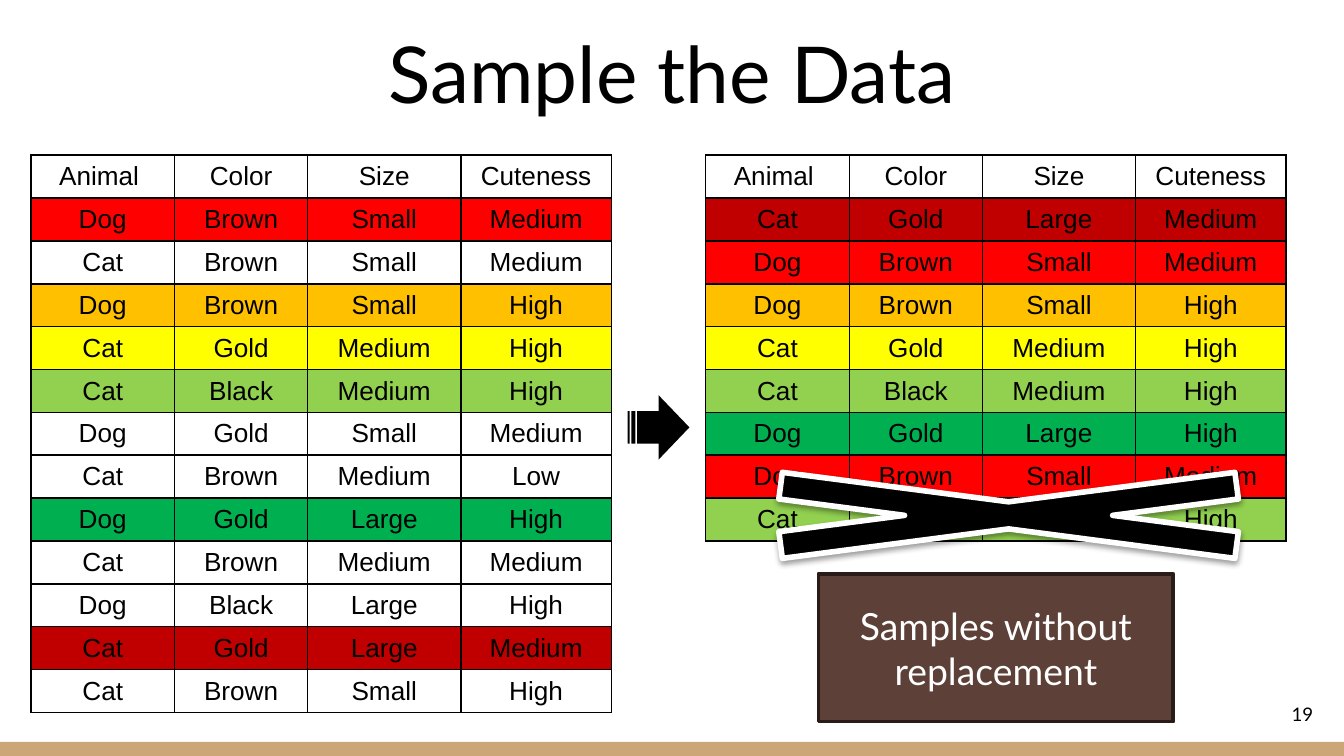
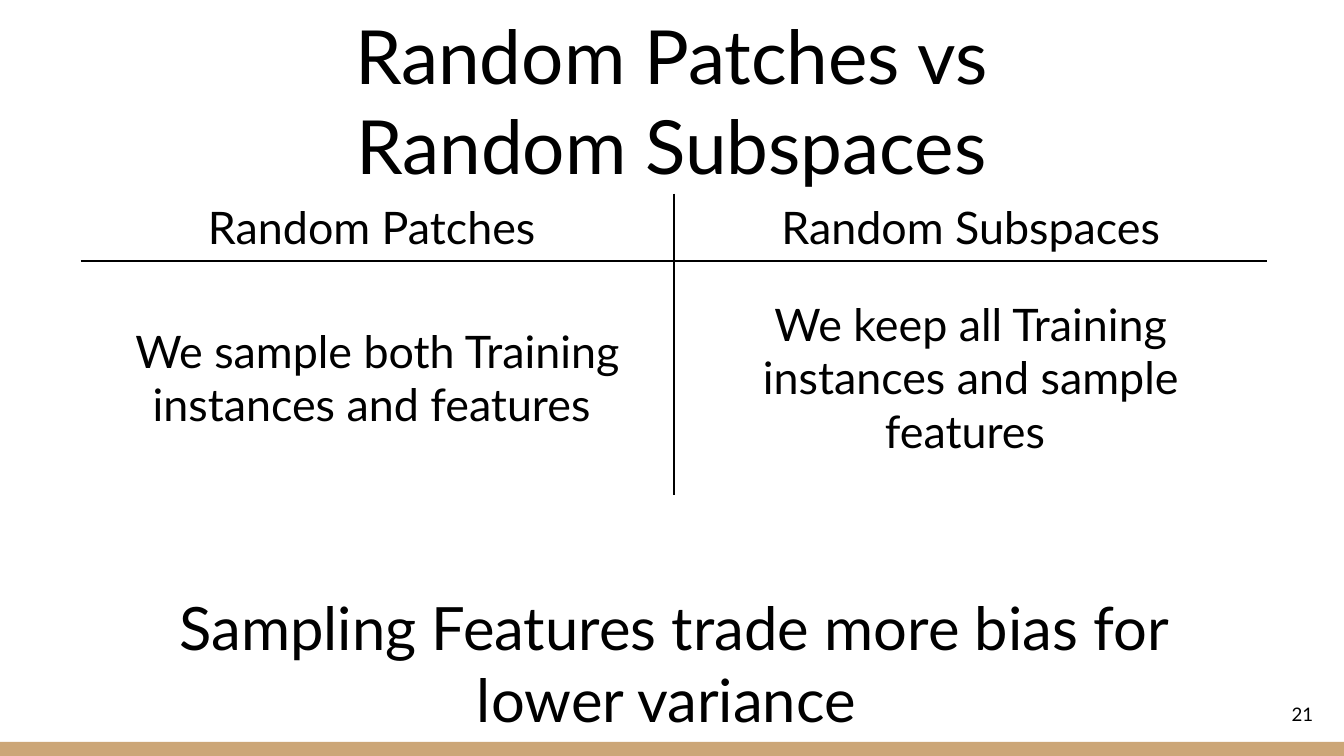
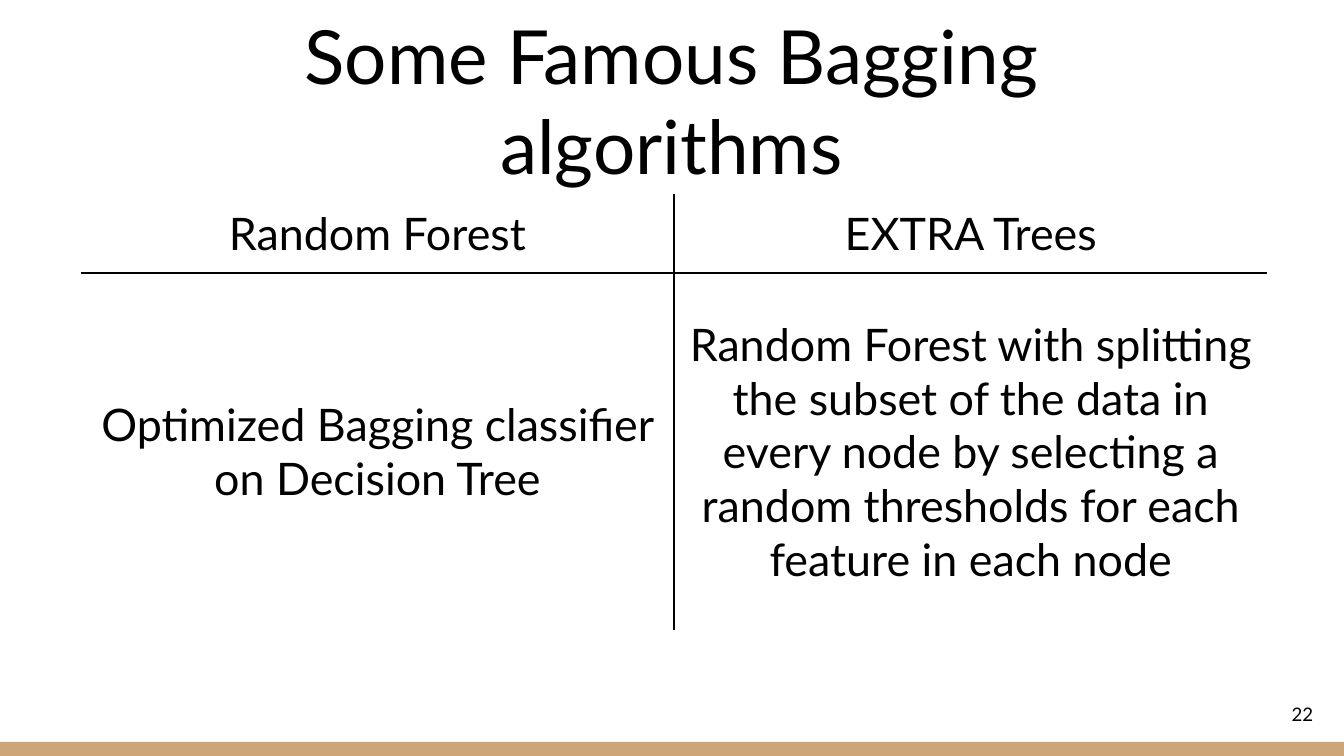
from pptx import Presentation
from pptx.dml.color import RGBColor
from pptx.enum.shapes import MSO_SHAPE as Kind
from pptx.enum.text import MSO_ANCHOR as Anchor, PP_ALIGN as Align
from pptx.oxml import parse_xml
from pptx.oxml.ns import nsdecls
from pptx.util import Inches, Pt

COLORS = {
    "black": "000000", "white": "FFFFFF", "tan": "CCA677",
    "brown": "5D4037", "bark": "291C18",
    "red": "FF0000", "amber": "FFC000", "yellow": "FFFF00",
    "lime": "92D050", "green": "00B050", "wine": "C00000",
}
BODY, GRID = "Lato", "Arial"
COLS = 100
PLAIN = "{2D5ABB26-0587-4C30-8999-92F81FD0307C}"

HEAD = ["Animal ", "Color", "Size", "Cuteness"]
PETS = [
    ("Dog Brown Small Medium", "red"),
    ("Cat Brown Small Medium", None),
    ("Dog Brown Small High", "amber"),
    ("Cat Gold Medium High", "yellow"),
    ("Cat Black Medium High", "lime"),
    ("Dog Gold Small Medium", None),
    ("Cat Brown Medium Low", None),
    ("Dog Gold Large High", "green"),
    ("Cat Brown Medium Medium", None),
    ("Dog Black Large High", None),
    ("Cat Gold Large Medium", "wine"),
    ("Cat Brown Small High", None),
]
DRAWN = [10, 0, 2, 3, 4, 7, 0, 4]


def rgb(name):
    return RGBColor.from_string(COLORS[name])


def write(frame, text, size=24, font=BODY, color="black", align=Align.CENTER,
          anchor=Anchor.MIDDLE, inset=0.05):
    """Fill a text frame or a table cell; inset is the top and bottom margin."""
    frame.vertical_anchor = anchor
    frame.margin_top = frame.margin_bottom = Inches(inset)
    frame.margin_left = frame.margin_right = Inches(0.1)
    frame.word_wrap = True
    para = getattr(frame, "text_frame", frame).paragraphs[0]
    para.alignment = align
    run = para.add_run()
    run.text = text
    run.font.size = Pt(size)
    run.font.name = font
    run.font.color.rgb = rgb(color)


def rule(cell, sides):
    """Draw a thin black line on the given sides (any of L, R, T, B)."""
    props = cell._tc.get_or_add_tcPr()
    for side in "LRTB":
        if side in sides:
            props.append(parse_xml(
                f'<a:ln{side} {nsdecls("a")} w="12700"><a:solidFill>'
                f'<a:srgbClr val="{COLORS["black"]}"/></a:solidFill></a:ln{side}>'))


def shade(shape):
    """Give a shape a soft shadow that falls straight down."""
    shape._element.spPr.append(parse_xml(
        f'<a:effectLst {nsdecls("a")}><a:outerShdw blurRad="39370" dist="20320" '
        f'dir="5400000" rotWithShape="0"><a:srgbClr val="{COLORS["black"]}">'
        '<a:alpha val="38000"/></a:srgbClr></a:outerShdw></a:effectLst>'))


class Deck:
    """Places elements on a square grid, 100 columns wide."""

    def __init__(self):
        self.file = Presentation()
        self.file.slide_width = Inches(10)
        self.file.slide_height = Inches(5.625)
        self.unit = self.file.slide_width // COLS
        self.slide = None

    def span(self, *cells):
        return [round(cell * self.unit) for cell in cells]

    def start(self, number):
        self.slide = self.file.slides.add_slide(self.file.slide_layouts[6])
        self.shape(Kind.RECTANGLE, (0, 55.2, COLS, 1.05), "tan")
        self.text((92.7, 51, 6, 4.3), str(number), size=10,
                  align=Align.RIGHT, inset=0.1)

    def text(self, box, text, **style):
        area = self.slide.shapes.add_textbox(*self.span(*box))
        write(area.text_frame, text, **style)

    def title(self, text):
        self.text((20.4, 1.4, 59.1, 13.7), text, size=40,
                  anchor=Anchor.BOTTOM, inset=0.1)

    def shape(self, kind, box, fill, line=None, width=1):
        form = self.slide.shapes.add_shape(kind, *self.span(*box))
        form.shadow.inherit = False
        form.fill.solid()
        form.fill.fore_color.rgb = rgb(fill)
        if line:
            form.line.color.rgb = rgb(line)
            form.line.width = Pt(width)
        else:
            form.line.fill.background()
        return form

    def table(self, left, top, widths, heights, rows, fills, sides, **style):
        """Add a table; sides(row, col) names the ruled sides of a cell."""
        frame = self.slide.shapes.add_table(
            len(rows), len(widths),
            *self.span(left, top, sum(widths), sum(heights)))
        table = frame.table
        table.first_row = table.horz_banding = False
        table._tbl.tblPr.find("{*}tableStyleId").text = PLAIN
        for col, width in zip(table.columns, self.span(*widths)):
            col.width = width
        for row, height in zip(table.rows, self.span(*heights)):
            row.height = height
        for r, (row, fill) in enumerate(zip(rows, fills)):
            for c, text in enumerate(row):
                cell = table.cell(r, c)
                write(cell, text, **style)
                rule(cell, sides(r, c))
                if fill:
                    cell.fill.solid()
                    cell.fill.fore_color.rgb = rgb(fill)
                else:
                    cell.fill.background()

    def pets(self, left, picks):
        rows = [HEAD] + [PETS[i][0].split() for i in picks]
        fills = [None] + [PETS[i][1] for i in picks]
        self.table(left, 11.55, (10.7, 9.9, 11.4, 11.2), [3.19] * len(rows),
                   rows, fills, lambda r, c: "LRTB",
                   size=14, font=GRID, inset=0.04)

    def versus(self, heights, heads, notes):
        """Compare two things around a cross of inner lines."""
        self.table(6, 14.4, (44.15, 44.15), heights, (heads, notes),
                   (None, None), lambda r, c: "RL"[c] + "BT"[r])


def sample(deck):
    deck.start(19)
    deck.pets(2.3, range(len(PETS)))
    deck.pets(52.5, DRAWN)
    deck.text((25, 1.4, 50, 8.1), "Sample the Data", size=42, anchor=Anchor.TOP)
    deck.shape(Kind.STRIPED_RIGHT_ARROW, (46.7, 29.4, 4.6, 4.8), "black")
    label = deck.shape(Kind.RECTANGLE, (60.9, 42.7, 26.4, 11),
                       "brown", "bark", 2)
    write(label.text_frame, "Samples without replacement", size=20, color="white")
    cross = deck.shape(Kind.MATH_MULTIPLY, (42.4, 34.1, 65.3, 8.5),
                       "black", "white", 3)
    cross._element.spPr.remove(cross._element.spPr.find("{*}effectLst"))
    shade(cross)


def patches(deck):
    deck.start(21)
    deck.title("Random Patches vs Random Subspaces")
    deck.versus((5, 17.4), ("Random Patches ", "Random Subspaces"),
                ("We sample both Training instances and features ",
                 "We keep all Training instances and sample features "))
    deck.text((11.9, 43.5, 76.5, 6.4),
              "Sampling Features trade more bias for lower variance ",
              size=32, anchor=Anchor.TOP)


def famous(deck):
    deck.start(22)
    deck.title("Some Famous Bagging algorithms")
    deck.versus((5.9, 26.6), ("Random Forest", "EXTRA Trees"),
                ("Optimized Bagging classifier on Decision Tree",
                 "Random Forest with splitting the subset of the data in every "
                 "node by selecting a random thresholds for each feature in "
                 "each node"))


def main():
    deck = Deck()
    for build in (sample, patches, famous):
        build(deck)
    deck.file.save("out.pptx")


if __name__ == "__main__":
    main()
